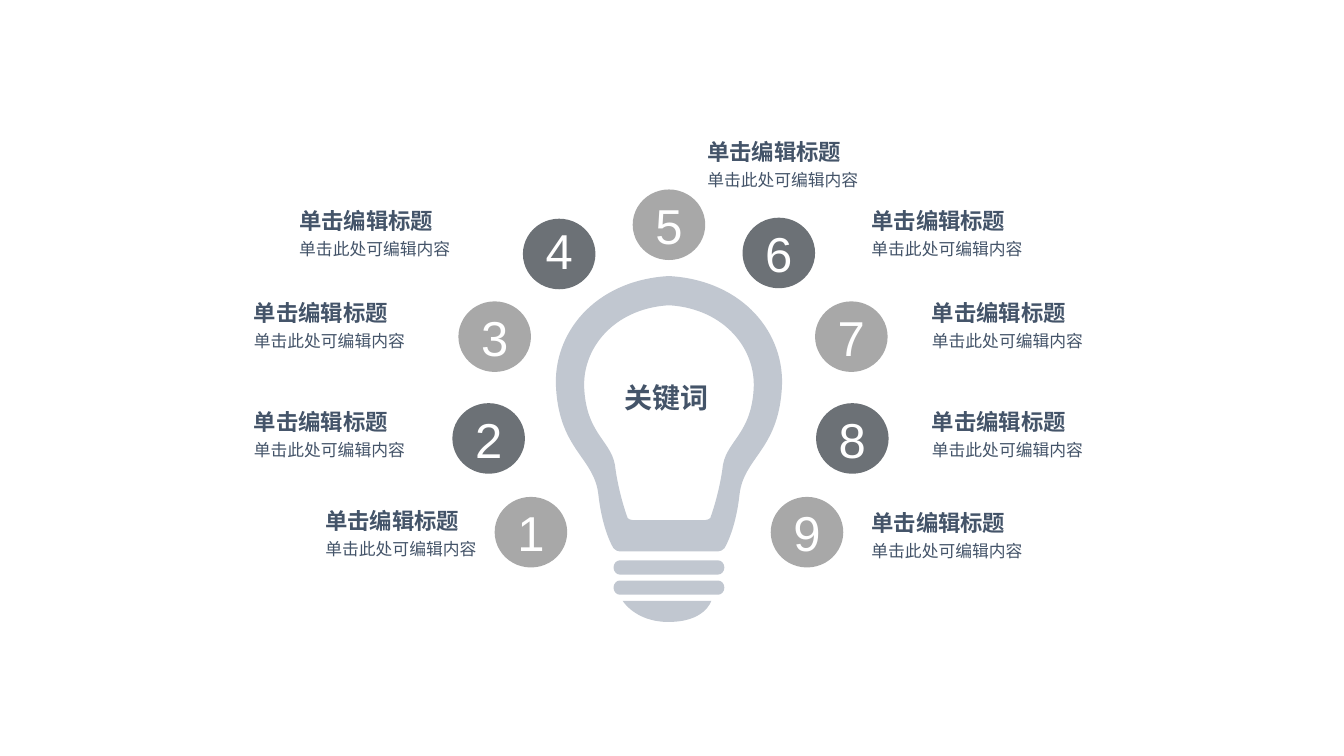
"""Build a slide with a light bulb ringed by nine numbered captions."""
from lxml.etree import SubElement
from pptx import Presentation
from pptx.dml.color import RGBColor
from pptx.enum.shapes import MSO_SHAPE
from pptx.enum.text import MSO_ANCHOR, MSO_AUTO_SIZE, PP_ALIGN
from pptx.oxml.ns import qn
from pptx.util import Inches, Pt

COLORS = {"bulb": "C1C7D0", "odd": "A8A8A8", "even": "6C7176",
          "text": "445469", "number": "FFFFFF"}
FORMATS = {
    "number": {"size": Pt(35), "bold": False},
    "keyword": {"size": Pt(20), "bold": True},
    "heading": {"size": Pt(16), "bold": True},
    "detail": {"size": Pt(12), "bold": False},
}
BULB_AXIS = 6.64
GLASS_OUTER = [(6.62, 2.74),
               (5.9, 2.79), (5.48, 3.31), (5.52, 3.86),
               (5.56, 4.47), (5.9, 4.54), (5.94, 4.91),
               (5.98, 5.27), (6.09, 5.44), (6.09, 5.44),
               (6.11, 5.46), (6.13, 5.47), (6.15, 5.47)]
GLASS_INNER = [(6.62, 3.03),
               (6.09, 3.07), (5.77, 3.46), (5.8, 3.87),
               (5.83, 4.33), (6.09, 4.38), (6.11, 4.66),
               (6.15, 4.93), (6.23, 5.14), (6.23, 5.14),
               (6.24, 5.15), (6.26, 5.16), (6.28, 5.16)]
CAP = [(6.18, 5.96),
       (7.06, 5.96), (7.06, 5.96), (7.06, 5.96),
       (7.06, 5.96), (7, 6.18), (6.61, 6.17),
       (6.3, 6.16), (6.18, 5.96), (6.18, 5.96)]
CIRCLES = [(4.91, 4.93), (4.49, 4), (4.55, 2.99), (5.19, 2.17), (6.28, 1.88),
           (7.37, 2.16), (8.09, 2.99), (8.1, 4), (7.65, 4.93)]
CAPTIONS = [(3.23, 5.03), (2.52, 4.05), (2.52, 2.97), (2.97, 2.06), (7.02, 1.37),
            (8.65, 2.06), (9.25, 2.97), (9.25, 4.05), (8.65, 5.05)]


def paint(sp, color):
    """Give a shape a flat fill without line or shadow."""
    sp.shadow.inherit = False
    sp.fill.solid()
    sp.fill.fore_color.rgb = RGBColor.from_string(COLORS[color])
    sp.line.fill.background()


def write(sp, text, style, color, align, **frame):
    """Write one formatted paragraph into a shape."""
    tf = sp.text_frame
    for name, value in frame.items():
        setattr(tf, name, value)
    p = tf.paragraphs[0]
    p.alignment = align
    r = p.add_run()
    r.text = text
    r.font.name = "Arial"
    r.font.color.rgb = RGBColor.from_string(COLORS[color])
    for name, value in FORMATS[style].items():
        setattr(r.font, name, value)


def mirrored(half):
    """Join the knots of a half outline to their mirror image."""
    other = [(2 * BULB_AXIS - x, y) for x, y in reversed(half)]
    return half + other[:1] * 2 + other


def bend(sp):
    """Turn each three line segments of a freeform into one cubic curve."""
    lines = list(sp.element.iter(qn("a:lnTo")))
    for i in range(0, len(lines), 3):
        first = lines[i]
        outline = first.getparent()
        curve = SubElement(outline, qn("a:cubicBezTo"))
        first.addprevious(curve)
        for line in lines[i:i + 3]:
            curve.append(line[0])
            outline.remove(line)


def add_outline(s, contours, color):
    """Draw closed curved contours as a single freeform."""
    builder = None
    for contour in contours:
        start, *rest = [(Inches(x), Inches(y)) for x, y in contour]
        if builder is None:
            builder = s.shapes.build_freeform(*start, scale=1.0)
        else:
            builder.move_to(*start)
        builder.add_line_segments(rest, close=True)
    sp = builder.convert_to_shape()
    bend(sp)
    paint(sp, color)


def add_ring(s, top):
    """Add one rounded ring of the bulb's screw base."""
    end = [(6.15, 0), (6.12, 0), (6.09, 0.03), (6.09, 0.07),
           (6.09, 0.11), (6.12, 0.14), (6.15, 0.14)]
    add_outline(s, [mirrored([(x, top + y) for x, y in end])], "bulb")


def add_circle(s, number, left, top):
    """Add a numbered circle, coloured by parity."""
    sp = s.shapes.add_shape(MSO_SHAPE.OVAL, Inches(left), Inches(top),
                            Inches(0.72), Inches(0.7))
    paint(sp, "odd" if number % 2 else "even")
    write(sp, str(number), "number", "number", PP_ALIGN.CENTER,
          vertical_anchor=MSO_ANCHOR.MIDDLE,
          margin_bottom=Inches(0.13 if number == 4 else 0.05))


def add_text(s, text, style, left, top, width, height, align=PP_ALIGN.LEFT):
    """Add a wrapped text box without margins."""
    sp = s.shapes.add_textbox(Inches(left), Inches(top), Inches(width), Inches(height))
    write(sp, text, style, "text", align, word_wrap=True,
          auto_size=MSO_AUTO_SIZE.SHAPE_TO_FIT_TEXT,
          margin_left=0, margin_right=0, margin_top=0, margin_bottom=0)


def add_caption(s, left, top):
    """Add a heading with its detail line below."""
    add_text(s, "单击编辑标题", "heading", left, top, 2.14, 0.27)
    add_text(s, "单击此处可编辑内容", "detail", left, top + 0.31, 2.55, 0.2)


def main():
    """Build and save the slide."""
    prs = Presentation()
    prs.slide_width, prs.slide_height = Inches(13.34), Inches(7.5)
    s = prs.slides.add_slide(prs.slide_layouts[6])
    for top in (5.76, 5.56):
        add_ring(s, top)
    add_outline(s, [CAP], "bulb")
    add_outline(s, [mirrored(GLASS_OUTER), mirrored(GLASS_INNER)[::-1]], "bulb")
    for number, (left, top) in enumerate(CIRCLES, 1):
        add_circle(s, number, left, top)
    for left, top in CAPTIONS:
        add_caption(s, left, top)
    add_text(s, "关键词", "keyword", 5.87, 3.77, 1.5, 0.33, PP_ALIGN.CENTER)
    prs.save("out.pptx")


if __name__ == "__main__":
    main()
